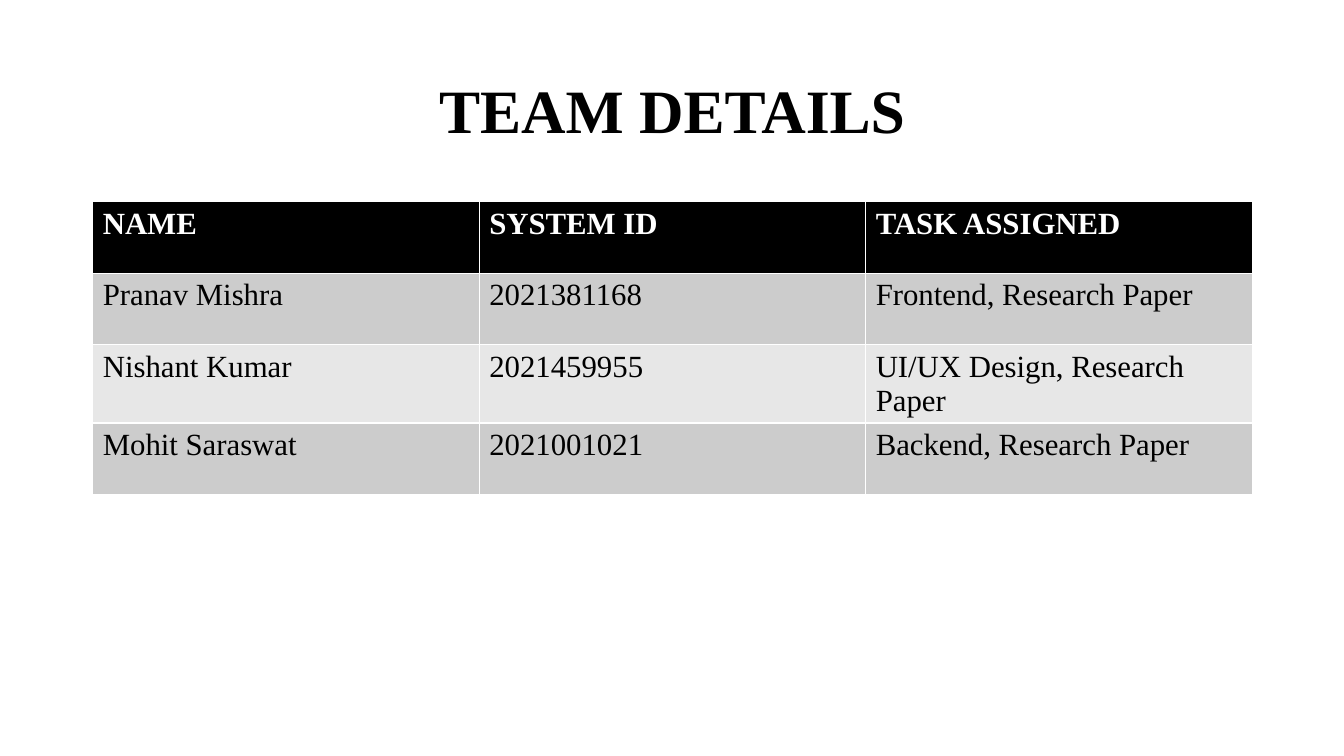
"""Build the team details slide."""
import pptx
import pptx.util
import pptx.dml.color
import pptx.enum.text

Inches = pptx.util.Inches
RGB = pptx.dml.color.RGBColor

TITLE = "TEAM DETAILS"
TEAM = [
    ("NAME", "SYSTEM ID", "TASK ASSIGNED"),
    ("Pranav Mishra", "2021381168", "Frontend, Research Paper"),
    ("Nishant Kumar", "2021459955", "UI/UX Design, Research Paper"),
    ("Mohit Saraswat", "2021001021", "Backend, Research Paper"),
]
BLACK = RGB(0x00, 0x00, 0x00)
WHITE = RGB(0xFF, 0xFF, 0xFF)
BANDS = [RGB(0xE7, 0xE7, 0xE7), RGB(0xCC, 0xCC, 0xCC)]
FONT = "Times New Roman"
LEFT, WIDTH, ROW = 0.92, 11.5, 0.71


def write(frame, text, size=22, color=BLACK, bold=False, align=None, space=None):
    """Put one formatted paragraph into a text frame."""
    para = frame.paragraphs[0]
    para.alignment = align
    para.line_spacing = space
    run = para.add_run()
    run.text = text
    font = run.font
    font.name, font.size, font.bold = FONT, pptx.util.Pt(size), bold
    font.color.rgb = color


def main():
    """Create the slide and save it."""
    deck = pptx.Presentation()
    deck.slide_width, deck.slide_height = Inches(13.33), Inches(7.5)
    slide = deck.slides.add_slide(deck.slide_layouts[5])

    title = slide.shapes.title
    title.left, title.top = Inches(LEFT), Inches(0.4)
    title.width, title.height = Inches(WIDTH), Inches(1.45)
    title.text_frame.vertical_anchor = pptx.enum.text.MSO_ANCHOR.MIDDLE
    write(title.text_frame, TITLE, size=44, bold=True,
          align=pptx.enum.text.PP_ALIGN.CENTER, space=0.9)

    table = slide.shapes.add_table(
        len(TEAM), len(TEAM[0]), Inches(LEFT), Inches(2),
        Inches(WIDTH), Inches(ROW * len(TEAM))).table
    for r, row in enumerate(TEAM):
        head = r == 0
        for c, text in enumerate(row):
            cell = table.cell(r, c)
            cell.fill.solid()
            cell.fill.fore_color.rgb = BLACK if head else BANDS[r % 2]
            write(cell.text_frame, text, color=WHITE if head else BLACK, bold=head)

    deck.save("out.pptx")


if __name__ == "__main__":
    main()
